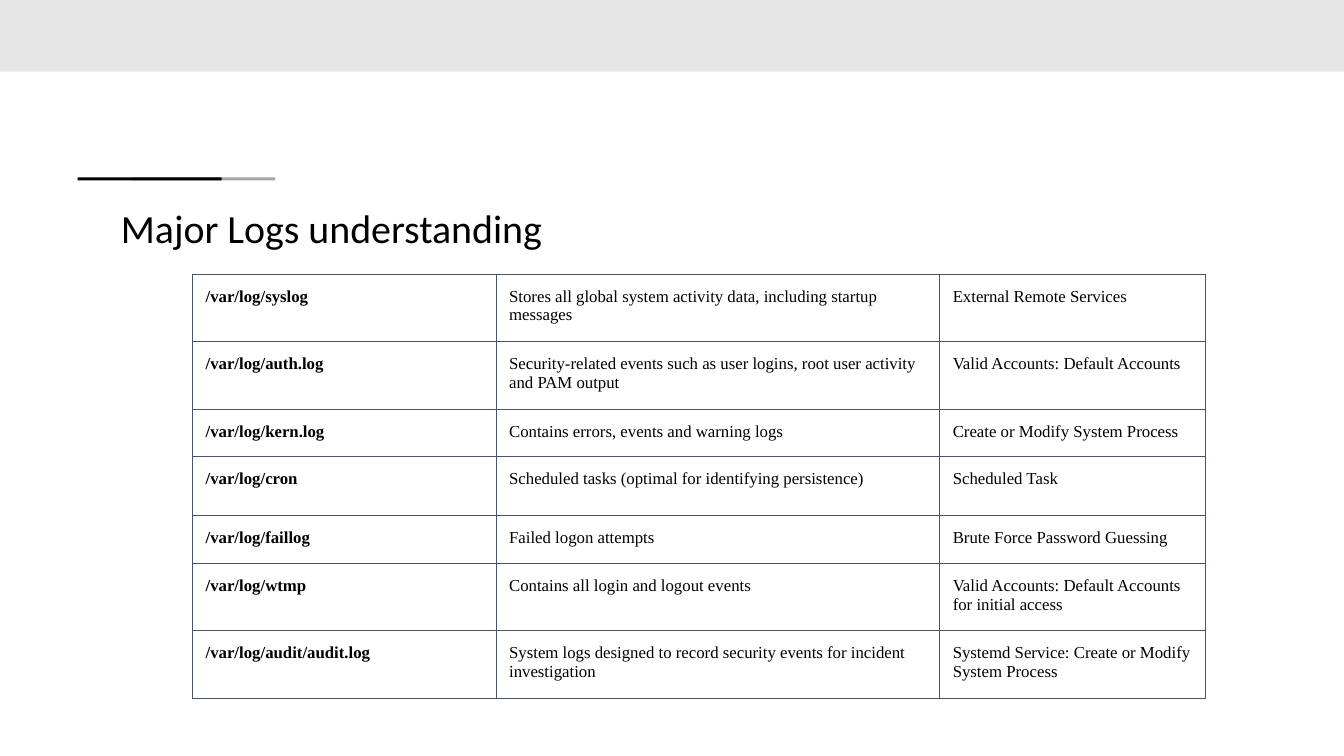
from dataclasses import dataclass

from lxml import etree
from pptx import Presentation
from pptx.dml.color import RGBColor
from pptx.enum.shapes import MSO_SHAPE
from pptx.enum.text import MSO_ANCHOR, PP_ALIGN
from pptx.oxml.ns import qn
from pptx.util import Inches, Pt

RECTANGLE = MSO_SHAPE.RECTANGLE
TOP = MSO_ANCHOR.TOP
LEFT = PP_ALIGN.LEFT
TITLE_ONLY = 5


@dataclass(frozen=True)
class Theme:
    ink: str = "000000"
    band: str = "E7E6E6"
    accent: str = "A5A5A5"
    border: str = "44546A"
    title_font: str = "Calibri"
    table_font: str = "Times New Roman"
    title_size: float = 28.5
    table_size: float = 12
    border_width: float = 0.75
    inset: float = 0.13


THEME = Theme()

COLUMN_WIDTHS = (3.01, 4.4, 2.64)
ROW_HEIGHTS = (0.67, 0.67, 0.47, 0.58, 0.48, 0.67, 0.67)
LOGS = (
    ("/var/log/syslog",
     "Stores all global system activity data, including startup messages",
     "External Remote Services"),
    ("/var/log/auth.log",
     "Security-related events such as user logins, root user activity and PAM output",
     "Valid Accounts: Default Accounts"),
    ("/var/log/kern.log",
     "Contains errors, events and warning logs",
     "Create or Modify System Process"),
    ("/var/log/cron",
     "Scheduled tasks (optimal for identifying persistence)",
     "Scheduled Task"),
    ("/var/log/faillog",
     "Failed logon attempts",
     "Brute Force Password Guessing"),
    ("/var/log/wtmp",
     "Contains all login and logout events",
     "Valid Accounts: Default Accounts for initial access"),
    ("/var/log/audit/audit.log",
     "System logs designed to record security events for incident investigation",
     "Systemd Service: Create or Modify System Process"),
)


def write_text(frame, text, *, font, size, bold=False, line_spacing=None):
    para = frame.paragraphs[0]
    para.alignment = LEFT
    if line_spacing:
        para.line_spacing = line_spacing
    span = para.add_run()
    span.text = text
    span.font.name = font
    span.font.size = Pt(size)
    span.font.bold = bold
    span.font.color.rgb = RGBColor.from_string(THEME.ink)


def set_margins(holder):
    """Give a text frame or a table cell the same inset on all sides."""
    holder.margin_left = holder.margin_right = Inches(THEME.inset)
    holder.margin_top = holder.margin_bottom = Inches(THEME.inset)
    holder.vertical_anchor = TOP


def add_bar(page, left, top, width, height, color):
    bar = page.shapes.add_shape(
        RECTANGLE, Inches(left), Inches(top), Inches(width), Inches(height))
    bar.shadow.inherit = False
    bar.fill.solid()
    bar.fill.fore_color.rgb = RGBColor.from_string(color)
    bar.line.fill.background()


def place_title(page, text, left, top, width, height):
    title = page.shapes.title
    title.left, title.top = Inches(left), Inches(top)
    title.width, title.height = Inches(width), Inches(height)
    frame = title.text_frame
    frame.word_wrap = True
    set_margins(frame)
    write_text(frame, text, font=THEME.title_font, size=THEME.title_size,
               line_spacing=0.9)


def add_borders(cell):
    properties = cell._tc.get_or_add_tcPr()
    for position, side in enumerate(("a:lnL", "a:lnR", "a:lnT", "a:lnB")):
        line = etree.Element(qn(side), w=str(Pt(THEME.border_width)))
        fill = etree.SubElement(line, qn("a:solidFill"))
        etree.SubElement(fill, qn("a:srgbClr"), val=THEME.border)
        properties.insert(position, line)


def add_log_table(page, left, top):
    table = page.shapes.add_table(
        len(LOGS), len(COLUMN_WIDTHS), Inches(left), Inches(top),
        Inches(sum(COLUMN_WIDTHS)), Inches(sum(ROW_HEIGHTS))).table
    table.first_row = table.horz_banding = False
    for column, width in zip(table.columns, COLUMN_WIDTHS):
        column.width = Inches(width)
    for row, height, texts in zip(table.rows, ROW_HEIGHTS, LOGS):
        row.height = Inches(height)
        for index, (cell, text) in enumerate(zip(row.cells, texts)):
            cell.fill.background()
            set_margins(cell)
            add_borders(cell)
            write_text(cell.text_frame, text, font=THEME.table_font,
                       size=THEME.table_size, bold=index == 0)


def main():
    deck = Presentation()
    deck.slide_width, deck.slide_height = Inches(13.33), Inches(7.5)
    page = deck.slides.add_slide(deck.slide_layouts[TITLE_ONLY])
    add_bar(page, 0, 0, 13.33, 0.71, THEME.band)
    for left, color in ((1.3, THEME.accent), (0.77, THEME.ink)):
        add_bar(page, left, 1.76, 1.43, 0.03, color)
    place_title(page, "Major Logs understanding", 1.07, 1.94, 11.21, 0.78)
    add_log_table(page, 1.91, 2.72)
    deck.save("out.pptx")


if __name__ == "__main__":
    main()
